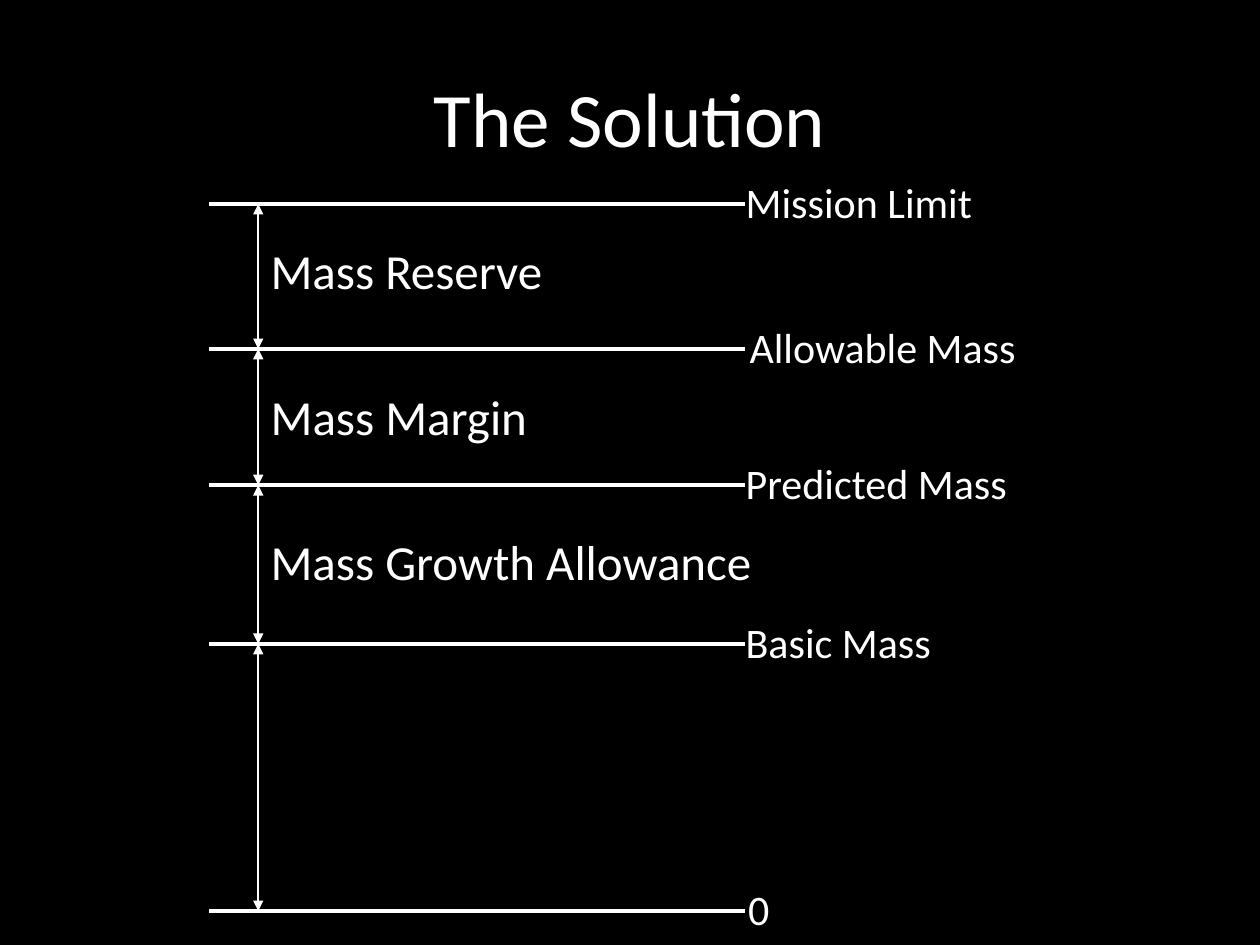
import pptx
import pptx.dml.color
import pptx.enum.shapes
import pptx.enum.text
import pptx.oxml.ns
import pptx.util
from lxml import etree
from pptx.util import Inches

COLORS = {"background": "000000", "foreground": "FFFFFF"}
WHITE = pptx.dml.color.RGBColor.from_string(COLORS["foreground"])
qn = pptx.oxml.ns.qn

deck = pptx.Presentation()
deck.slide_width, deck.slide_height = Inches(10), Inches(7.5)
slide = deck.slides.add_slide(deck.slide_layouts[6])
backdrop = slide.background.fill
backdrop.solid()
backdrop.fore_color.rgb = pptx.dml.color.RGBColor.from_string(COLORS["background"])


def add_line(start, end, width, arrows=False):
    """Draw a white line between two points in inches, with arrows at both ends if asked."""
    line = slide.shapes.add_connector(
        pptx.enum.shapes.MSO_CONNECTOR.STRAIGHT, *map(Inches, start + end))
    line.line.color.rgb = WHITE
    line.line.width = pptx.util.Pt(width)
    if arrows:
        for tag in ("a:headEnd", "a:tailEnd"):
            etree.SubElement(line.line._get_or_add_ln(), qn(tag), type="triangle")
    etree.SubElement(line._element.spPr, qn("a:effectLst"))


def add_label(text, box, size, **frame_format):
    label = slide.shapes.add_textbox(*map(Inches, box))
    frame = label.text_frame
    for name, value in frame_format.items():
        setattr(frame, name, value)
    paragraph = frame.paragraphs[0]
    run = paragraph.add_run()
    run.text = text
    font_format = {"name": "Calibri", "size": pptx.util.Pt(size)}
    for name, value in font_format.items():
        setattr(run.font, name, value)
    run.font.color.rgb = WHITE
    return paragraph


title = add_label("The Solution", (0.5, 0.3, 9, 1.25), 44, word_wrap=True,
                  vertical_anchor=pptx.enum.text.MSO_ANCHOR.MIDDLE)
title.alignment = pptx.enum.text.PP_ALIGN.CENTER

# Mass levels: name, height on the slide, label left and label width
levels = [
    ("Mission Limit", 1.62, 5.82, 2.15),
    ("Allowable Mass", 2.77, 5.85, 2.49),
    ("Predicted Mass", 3.85, 5.82, 2.45),
    ("Basic Mass", 5.11, 5.82, 1.8),
    ("0", 7.23, 5.84, 0.4),
]
spans = [("Mass Reserve", 2.54), ("Mass Margin", 2.41), ("Mass Growth Allowance", 4.33)]
span_x = 2.05
fit_text = {"word_wrap": False,
            "auto_size": pptx.enum.text.MSO_AUTO_SIZE.SHAPE_TO_FIT_TEXT}

for name, y, left, width in levels:
    add_line((1.66, y), (5.91, y), 2)
    add_label(name, (left, y - 0.27, width, 0.54), 24, **fit_text)

for upper, lower in zip(levels, levels[1:]):
    add_line((span_x, upper[1]), (span_x, lower[1]), 1, arrows=True)

for row, (name, width) in enumerate(spans):
    add_label(name, (span_x, 1.86 + 1.155 * row, width, 0.61), 28, **fit_text)

deck.save("out.pptx")
